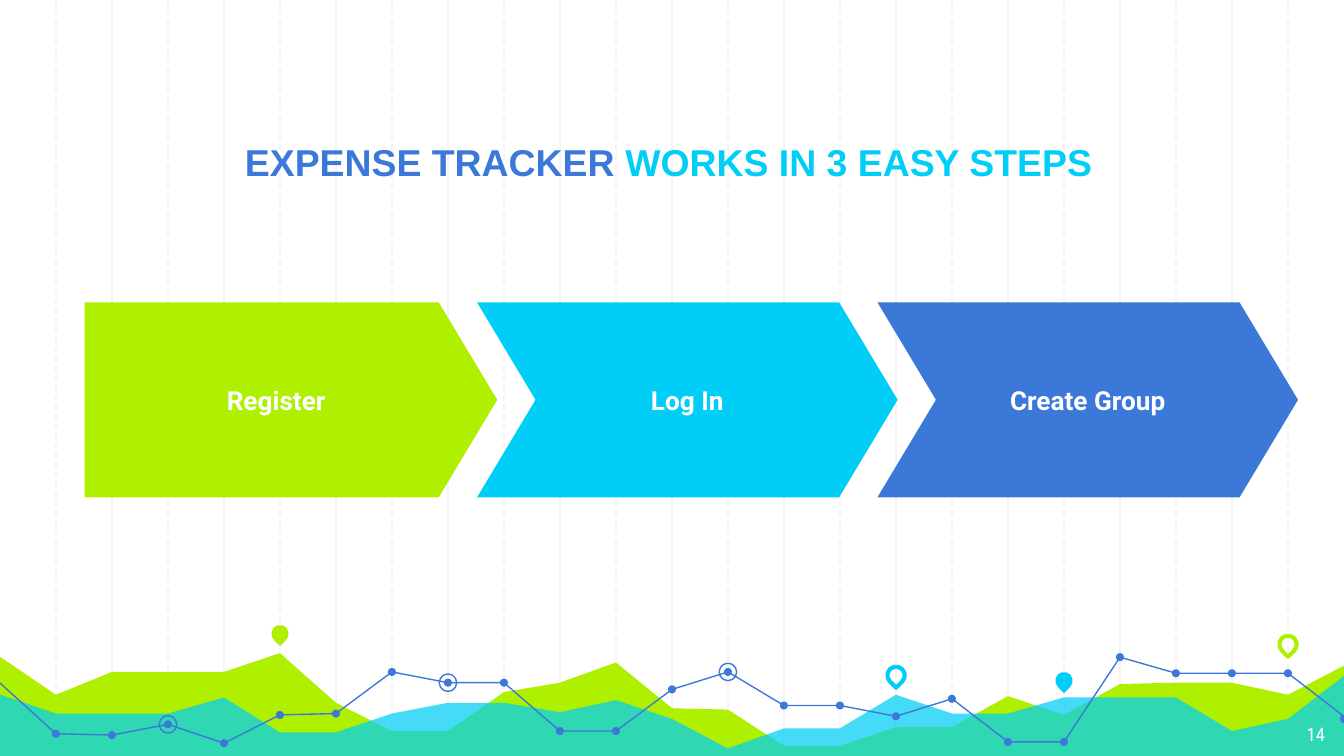
import pptx
import pptx.util
import pptx.dml.color
import pptx.enum.dml
import pptx.enum.shapes
import pptx.enum.text
import pptx.oxml.ns
from lxml import etree

RGB = pptx.dml.color.RGBColor
LIME = RGB(0xAF, 0xF0, 0x00)
CYAN = RGB(0x00, 0xCE, 0xF6)
BLUE = RGB(0x3C, 0x78, 0xD8)
PALE = RGB(0xF3, 0xF3, 0xF3)
WHITE = RGB(0xFF, 0xFF, 0xFF)

KIND = pptx.enum.shapes.MSO_SHAPE
ALIGN = pptx.enum.text.PP_ALIGN
ANCHOR = pptx.enum.text.MSO_ANCHOR
qn = pptx.oxml.ns.qn

# Grid: 24 columns across, rows of a tenth of an inch
WIDE = pptx.util.Inches(10)
HIGH = WIDE * 9 // 16
COLS = 24
COL = WIDE / COLS
ROW = pptx.util.Inches(0.1)
BASE = 56.5
BLEED = 0.06

# Heights in rows, one for each column edge
HILLS = [48.7, 51.7, 50, 50, 50, 48.6, 52.3, 54.4, 54.4, 51.5, 50.8, 49.3, 52.7,
         52.8, 55.5, 55.5, 54.1, 54.1, 51.8, 53.2, 50.9, 50.8, 50.8, 51.7, 49.4]
WAVES = [51.6, 53.1, 53.1, 53.1, 51.9, 54.5, 54.5, 53.1, 52.3, 52.3, 53, 52.1, 53.5,
         55.7, 54.2, 54.2, 51.7, 53.1, 53.1, 51.9, 51.9, 51.9, 54.4, 53.5, 50.1]
TREND = [50.6, 54.6, 54.7, 53.9, 55.3, 53.2, 53.1, 50, 50.8, 50.8, 54.4, 54.4, 51.3,
         50, 52.5, 52.5, 53.3, 52, 55.2, 55.2, 48.9, 50.1, 50.1, 50.1, 53.5]


class Deck:
    def __init__(self):
        self.file = pptx.Presentation()
        self.file.slide_width, self.file.slide_height = WIDE, HIGH
        self.slide = self.file.slides.add_slide(self.file.slide_layouts[5])
        self.shapes = self.slide.shapes
        self.slide.background.fill.solid()
        self.slide.background.fill.fore_color.rgb = WHITE

    def box(self, x, y, w, h):
        return [round(v) for v in (x * COL, y * ROW, w * COL, h * ROW)]

    def paint(self, shape, fill=None, line=None, width=0.75):
        shape.shadow.inherit = False
        if fill is None:
            shape.fill.background()
        else:
            shape.fill.solid()
            shape.fill.fore_color.rgb = fill
        if line is None:
            shape.line.fill.background()
        else:
            shape.line.color.rgb = line
            shape.line.width = pptx.util.Pt(width)
        return shape

    def label(self, shape, runs, align, anchor, style):
        frame = shape.text_frame
        form = {"word_wrap": True, "auto_size": pptx.enum.text.MSO_AUTO_SIZE.NONE,
                "vertical_anchor": anchor}
        form.update({"margin_" + side: pptx.util.Inches(0.1)
                     for side in ("left", "top", "right", "bottom")})
        for key, value in form.items():
            setattr(frame, key, value)
        para = frame.paragraphs[0]
        para.alignment = align
        for text, tint in runs:
            run = para.add_run()
            run.text = text
            for key, value in style.items():
                setattr(run.font, key, value)
            run.font.color.rgb = tint

    def rule(self, col, dashed):
        x = round(col * COL)
        line = self.shapes.add_connector(
            pptx.enum.shapes.MSO_CONNECTOR.STRAIGHT, x, 0, x, round(BASE * ROW))
        line.line.color.rgb = PALE
        line.line.width = pptx.util.Pt(0.75)
        if dashed:
            line.line.dash_style = pptx.enum.dml.MSO_LINE.DASH
        etree.SubElement(line._element.spPr, qn("a:effectLst"))

    def trace(self, points, close, **look):
        spots = [(round(x * COL), round(y * ROW)) for x, y in points]
        outline = self.shapes.build_freeform(*spots[0], scale=1.0)
        outline.add_line_segments(spots[1:], close=close)
        return self.paint(outline.convert_to_shape(), **look)

    def area(self, marks, fill, alpha=100):
        ends = [(COLS + BLEED, BASE), (-BLEED, BASE)]
        shape = self.trace(marks + ends, True, fill=fill)
        if alpha < 100:
            tint = shape._element.spPr.find(qn("a:solidFill"))[0]
            etree.SubElement(tint, qn("a:alpha"), val=str(alpha * 1000))

    def spot(self, kind, col, row, size, turn=0, **look):
        side = round(size * ROW)
        shape = self.shapes.add_shape(kind, round(col * COL) - side // 2,
                                      round(row * ROW) - side // 2, side, side)
        shape.rotation = turn
        self.paint(shape, **look)

    def step(self, kind, place, text, fill):
        shape = self.paint(self.shapes.add_shape(kind, *self.box(*place)), fill)
        shape.adjustments[0] = 0.3
        style = {"name": "Roboto", "size": pptx.util.Pt(14), "bold": True}
        self.label(shape, [(text, WHITE)], ALIGN.CENTER, ANCHOR.MIDDLE, style)

    def title(self, place, runs):
        shape = self.shapes.title
        shape.left, shape.top, shape.width, shape.height = self.box(*place)
        self.shapes._spTree.append(shape._element)  # bring to the front
        style = {"name": "Arial", "size": pptx.util.Pt(20), "bold": True}
        self.label(shape, runs, ALIGN.CENTER, ANCHOR.BOTTOM, style)

    def number(self, place, text):
        shape = self.shapes.add_textbox(*self.box(*place))
        style = {"name": "Roboto Condensed", "size": pptx.util.Pt(10)}
        self.label(shape, [(text, WHITE)], ALIGN.RIGHT, ANCHOR.TOP, style)


def spread(rows):
    """Pair each height with its column, the outer ones just past the edge."""
    cols = [-BLEED, *range(1, COLS), COLS + BLEED]
    return list(zip(cols, rows))


def main():
    deck = Deck()

    # Upright rules: solid on even columns, dashed on odd ones
    for start in (2, 1):
        for col in range(start, COLS, 2):
            deck.rule(col, dashed=start == 1)

    # Hills along the foot
    deck.area(spread(HILLS), LIME)
    deck.area(spread(WAVES), CYAN, alpha=73)

    # Trend line in three parts, with dots and rings
    trend = spread(TREND)
    for first, last in ((0, 11), (11, 20), (20, 24)):
        deck.trace(trend[first:last + 1], False, line=BLUE)
    for col in range(1, COLS + 1):
        deck.spot(KIND.OVAL, col, TREND[col], 0.6, fill=BLUE)
    for col in (3, 8, 13):
        deck.spot(KIND.OVAL, col, TREND[col], 1.3, line=BLUE)

    # Pins
    for col, row, look in ((5, 47.15, {"fill": LIME}),
                           (16, 50.25, {"line": CYAN, "width": 2.25}),
                           (19, 50.65, {"fill": CYAN}),
                           (23, 47.95, {"line": LIME, "width": 2.25})):
        deck.spot(KIND.TEAR, col, row, 1.3, turn=135, **look)

    # Title
    deck.title((2.76, 6.9, 18.36, 7.8),
               [("EXPENSE TRACKER ", BLUE), ("WORKS IN 3 EASY STEPS", CYAN)])

    # Steps
    deck.step(KIND.PENTAGON, (1.51, 22.5, 7.37, 14.5), "Register", LIME)
    for i, (text, fill) in enumerate((("Log In", CYAN), ("Create Group", BLUE))):
        deck.step(KIND.CHEVRON, (8.52 + 7.15 * i, 22.5, 7.51, 14.5), text, fill)

    # Page number
    deck.number((22.46, 52.8, 1.44, 3.5), "14")

    deck.file.save("out.pptx")


if __name__ == "__main__":
    main()
